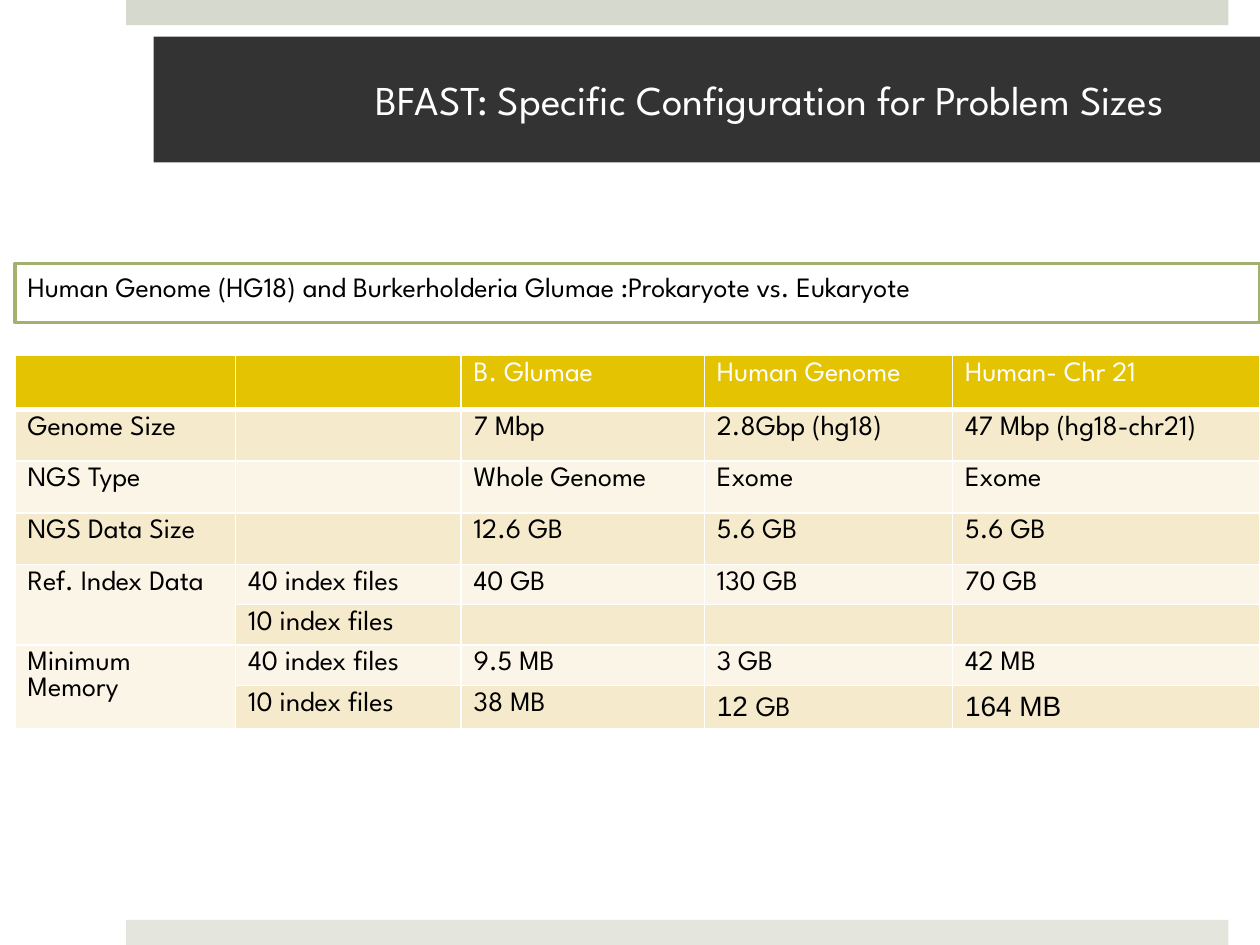
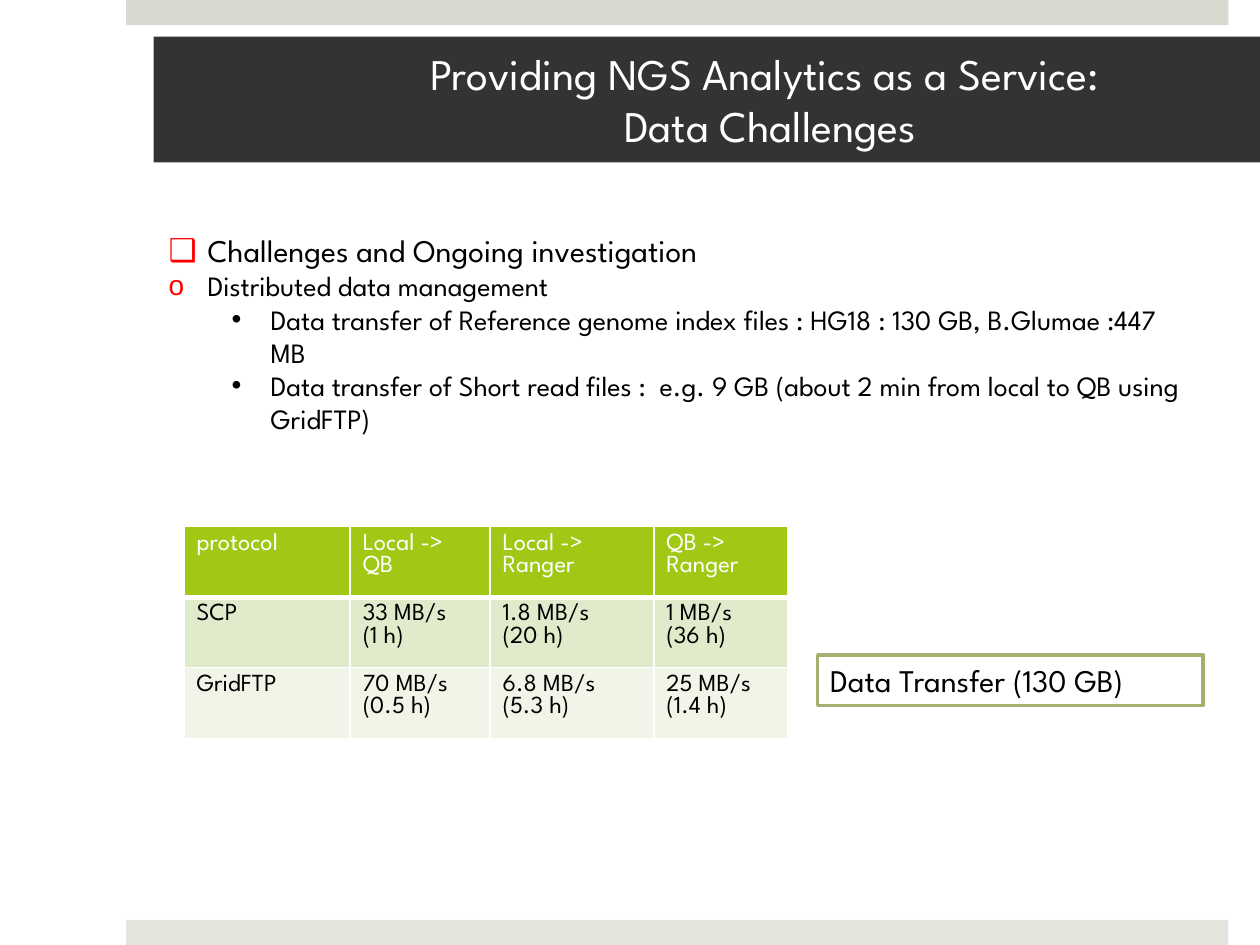
"""Build two slides on sequencing problem sizes and data transfer."""
import pptx
import pptx.dml.color
import pptx.enum.shapes
import pptx.enum.text
import pptx.oxml.ns
import pptx.util
from lxml import etree

Inches, Pt = pptx.util.Inches, pptx.util.Pt
qn = pptx.oxml.ns.qn
ALIGN = pptx.enum.text.PP_ALIGN
ANCHOR = pptx.enum.text.MSO_ANCHOR

FONT = "League Spartan"
LEAD = 1.19
COLORS = {
    "white": "FFFFFF", "black": "000000", "dark": "333333", "red": "FF0000",
    "top": "D6D9CD", "foot": "E4E6DE", "edge": "A2B170",
    "gold": "E4C402", "sand": "F5EACC", "cream": "FAF5E7",
    "lime": "A2C816", "leaf": "E0EBCC", "mist": "F0F5E8",
}
BANDS = [(0, "top"), (7.3, "foot")]

SIZES = {
    "title": ("BFAST: Specific Configuration for Problem Sizes", 23.4),
    "label": ("Human Genome (HG18) and Burkerholderia Glumae :Prokaryote vs. Eukaryote",
              16, (0.12, 2.09, 9.88, 0.47)),
    "table": {
        "at": (0.12, 2.82), "size": 16, "fills": ("gold", "sand", "cream"),
        "cols": [1.75, 1.79, 1.93, 1.97, 2.44],
        "heights": [0.43] + [0.41] * 3 + [0.32] * 4,
        "merges": [(4, 0), (6, 0)],
        "rows": [
            ["", "", "B. Glumae", "Human Genome", "Human- Chr 21"],
            ["Genome Size", "", "7 Mbp", "2.8Gbp (hg18)", "47 Mbp (hg18-chr21)"],
            ["NGS Type", "", "Whole Genome", "Exome", "Exome"],
            ["NGS Data Size", "", "12.6 GB", "5.6 GB", "5.6 GB"],
            ["Ref. Index Data", "40 index files", "40 GB", "130 GB", "70 GB"],
            ["", "10 index files", "", "", ""],
            ["Minimum Memory", "40 index files", "9.5 MB", "3 GB", "42 MB"],
            ["", "10 index files", "38 MB", "", "164 ΜΒ"],
        ],
    },
}
MIXED = [("12 ", "Arial"), ("GB", FONT)]

DATA = {
    "title": ("Providing NGS Analytics as a Service: \vData Challenges", 25),
    "label": ("Data Transfer (130 GB)", 18, (6.49, 5.2, 3.06, 0.4)),
    "table": {
        "at": (1.46, 4.18), "size": 14, "fills": ("lime", "leaf", "mist"),
        "cols": [1.32, 1.11, 1.3, 1.06], "heights": [0.56] * 3, "merges": [],
        "rows": [
            ["protocol", "Local ->\vQB", "Local ->\vRanger", "QB ->\vRanger"],
            ["SCP", "33 MB/s\v(1 h)", "1.8 MB/s\n(20 h)", "1 MB/s\n(36 h)"],
            ["GridFTP", "70 MB/s\n(0.5 h)", "6.8 MB/s\n(5.3 h)", "25 MB/s\n(1.4 h)"],
        ],
    },
}
POINTS = [
    ("❑", "red", 0.31, 18, "Challenges and Ongoing investigation"),
    ("o", "red", 0.31, 16, "Distributed data management"),
    ("•", "black", 0.81, 16,
     "Data transfer of Reference genome index files : HG18 : 130 GB, B.Glumae :447 MB"),
    ("•", "black", 0.81, 16,
     "Data transfer of Short read files :  e.g. 9 GB (about 2 min from local to QB using GridFTP)"),
]


def rgb(name):
    return pptx.dml.color.RGBColor.from_string(COLORS[name])


def style(run, size, color, face=FONT):
    run.font.size, run.font.name, run.font.bold = Pt(size), face, False
    run.font.color.rgb = rgb(color)


def write(frame, text, size, color, lead=None):
    frame.text = text
    for para in frame.paragraphs:
        if lead:
            para.line_spacing = Pt(round(size * lead, 1))
        for run in para.runs:
            style(run, size, color)


def block(slide, box, fill, edge=None):
    kind = pptx.enum.shapes.MSO_SHAPE.RECTANGLE
    shape = slide.shapes.add_shape(kind, *map(Inches, box))
    shape.shadow.inherit = False
    shape.fill.solid()
    shape.fill.fore_color.rgb = rgb(fill)
    if edge:
        shape.line.color.rgb, shape.line.width = rgb(edge), Pt(2)
    else:
        shape.line.fill.background()
    return shape


def title(slide, text, size):
    shape = block(slide, (1.22, 0.29, 8.78, 1), "dark")
    frame = shape.text_frame
    frame.margin_left, frame.margin_right = Inches(1.3), Inches(0.3)
    frame.vertical_anchor, frame.word_wrap = ANCHOR.MIDDLE, True
    write(frame, text, size, "white", LEAD)
    frame.paragraphs[0].alignment = ALIGN.CENTER


def label(slide, text, size, box):
    frame = block(slide, box, "white", "edge").text_frame
    frame.vertical_anchor, frame.word_wrap = ANCHOR.TOP, True
    write(frame, text, size, "black", LEAD)
    frame.paragraphs[0].alignment = ALIGN.LEFT


def borders(cell, head):
    props = cell._tc.get_or_add_tcPr()
    for side in "LRTB":
        width = 3 if head and side == "B" else 1
        line = etree.SubElement(props, qn("a:ln" + side), w=str(Pt(width)))
        fill = etree.SubElement(line, qn("a:solidFill"))
        etree.SubElement(fill, qn("a:srgbClr"), val=COLORS["white"])


def grid(slide, at, size, fills, cols, heights, merges, rows):
    box = (*at, sum(cols), sum(heights))
    table = slide.shapes.add_table(len(rows), len(cols), *map(Inches, box)).table
    table.first_row = table.horz_banding = False
    for col, width in zip(table.columns, cols):
        col.width = Inches(width)
    for i, (row, high) in enumerate(zip(rows, heights)):
        table.rows[i].height = Inches(high)
        for j, text in enumerate(row):
            cell = table.cell(i, j)
            borders(cell, i == 0)
            cell.fill.solid()
            cell.fill.fore_color.rgb = rgb(fills[0] if i == 0 else fills[2 - i % 2])
            write(cell.text_frame, text, size, "black" if i else "white")
            if not text:
                para = cell.text_frame.paragraphs[0]._p
                end = etree.SubElement(para, qn("a:endParaRPr"), sz=str(size * 100))
                etree.SubElement(end, qn("a:latin"), typeface=FONT)
    for i, j in merges:
        table.cell(i, j).merge(table.cell(i + 1, j))
        table.cell(i, j).fill.fore_color.rgb = rgb(fills[2])
    return table


def bullets(slide, points):
    box = slide.shapes.add_textbox(*map(Inches, (1.24, 1.79, 8.3, 1.75)))
    frame = box.text_frame
    frame.word_wrap = True
    frame.text = "\n".join(point[-1] for point in points)
    for para, (mark, color, left, size, _) in zip(frame.paragraphs, points):
        para.line_spacing = Pt(round(size * LEAD, 1))
        props = para._p.get_or_add_pPr()
        props.set("marL", str(Inches(left)))
        props.set("indent", str(-Inches(0.31)))
        tint = etree.SubElement(props, qn("a:buClr"))
        etree.SubElement(tint, qn("a:srgbClr"), val=COLORS[color])
        etree.SubElement(props, qn("a:buFont"), typeface="Arial")
        etree.SubElement(props, qn("a:buChar"), char=mark)
        style(para.runs[0], size, "black")


def page(deck, content):
    slide = deck.slides.add_slide(deck.slide_layouts[6])
    for top, color in BANDS:
        block(slide, (1, top, 8.75, 0.2), color)
    title(slide, *content["title"])
    label(slide, *content["label"])
    return slide, grid(slide, **content["table"])


def main():
    deck = pptx.Presentation()
    deck.slide_width, deck.slide_height = Inches(10), Inches(7.5)
    _, table = page(deck, SIZES)
    para = table.cell(7, 3).text_frame.paragraphs[0]
    for text, face in MIXED:
        run = para.add_run()
        run.text = text
        style(run, 16, "black", face)
    table.cell(7, 4).text_frame.paragraphs[0].runs[0].font.name = "Arial"
    slide, _ = page(deck, DATA)
    bullets(slide, POINTS)
    deck.save("out.pptx")


if __name__ == "__main__":
    main()
